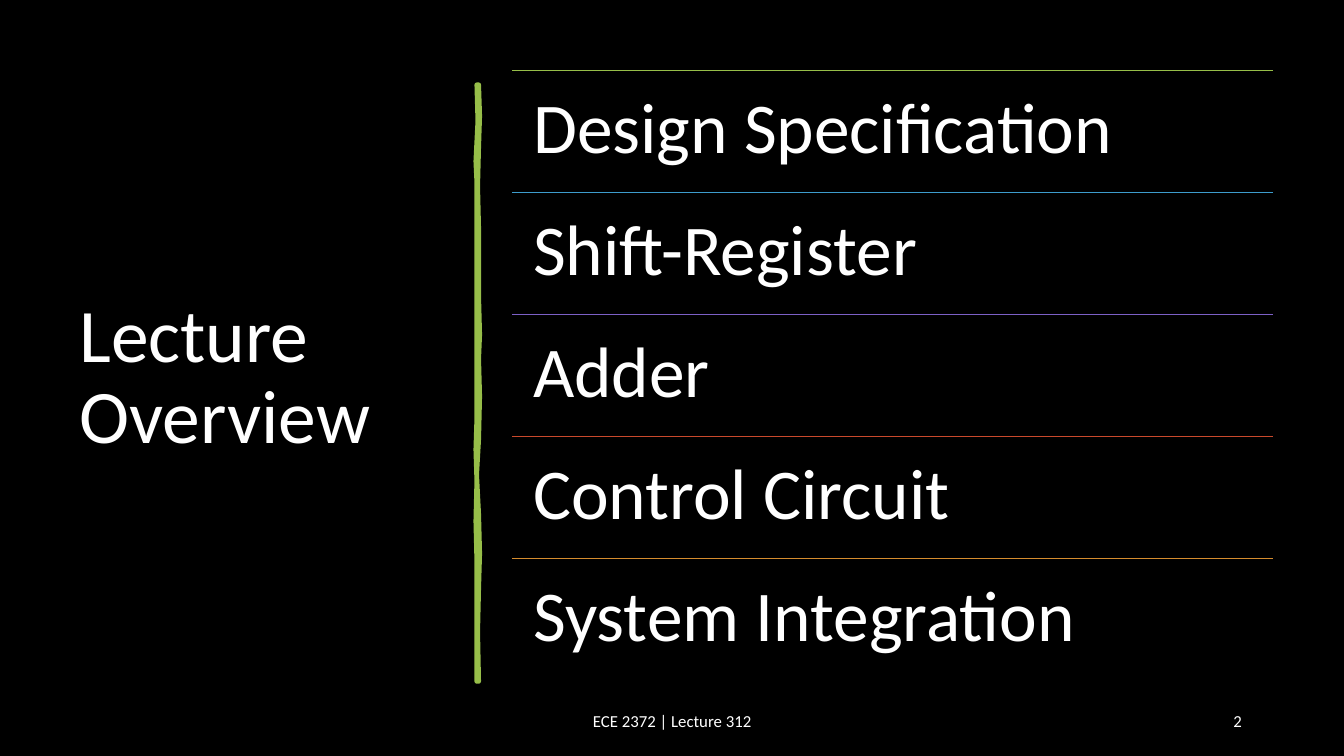
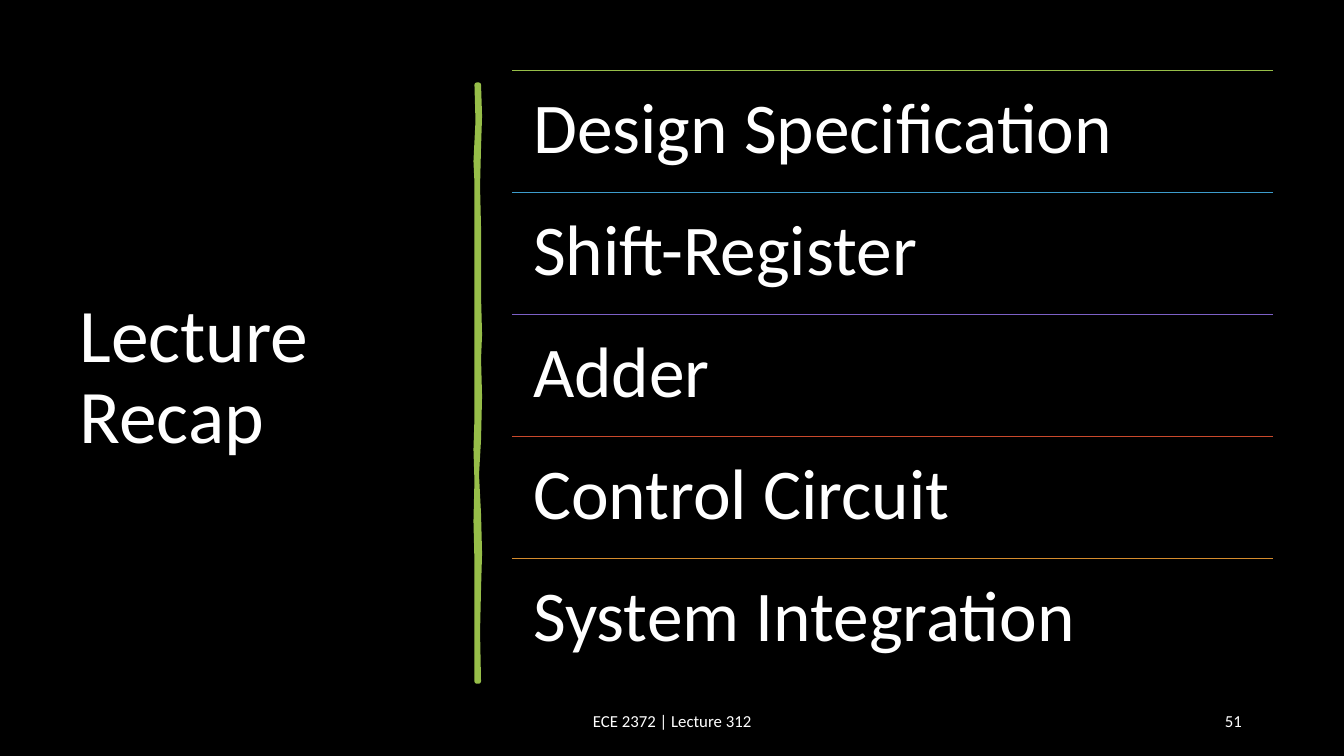
from lxml import etree
from pptx import Presentation
from pptx.dml.color import RGBColor
from pptx.enum.shapes import MSO_CONNECTOR
from pptx.enum.text import MSO_ANCHOR, PP_ALIGN
from pptx.oxml.ns import qn
from pptx.util import Inches, Pt

STRAIGHT = MSO_CONNECTOR.STRAIGHT
TOP, MIDDLE = MSO_ANCHOR.TOP, MSO_ANCHOR.MIDDLE
LEFT, CENTER, RIGHT = PP_ALIGN.LEFT, PP_ALIGN.CENTER, PP_ALIGN.RIGHT

BLACK = RGBColor(0x00, 0x00, 0x00)
WHITE = RGBColor(0xFF, 0xFF, 0xFF)
GREEN = RGBColor(0x97, 0xBE, 0x49)
BLUE = RGBColor(0x3D, 0x9C, 0xCC)
PURPLE = RGBColor(0x7C, 0x60, 0xC6)
RED = RGBColor(0xC9, 0x49, 0x2C)
ORANGE = RGBColor(0xD5, 0x8C, 0x2E)

FONT = "Calibri"
FOOTER = "ECE 2372 | Lecture 312"
TOPICS = [
    ("Design Specification", GREEN),
    ("Shift-Register", BLUE),
    ("Adder", PURPLE),
    ("Control Circuit", RED),
    ("System Integration", ORANGE),
]
PAGES = [("Lecture Overview", "2"), ("Lecture Recap", "51")]

LIST_LEFT, LIST_TOP, LIST_WIDTH, ROW_HEIGHT = 5.08, 0.7, 7.55, 1.21

BRUSH_OUTLINE = [
    (4.75, 0.84), (4.76, 1.15), (4.75, 1.46), (4.74, 1.85), (4.75, 2.26),
    (4.75, 2.94), (4.76, 3.32), (4.75, 3.56), (4.76, 3.93), (4.75, 4.36),
    (4.73, 4.71), (4.75, 5.1), (4.76, 5.49), (4.75, 5.84), (4.74, 6.27),
    (4.75, 6.76), (4.73, 6.76), (4.73, 6.13), (4.73, 5.57), (4.72, 5.17),
    (4.73, 4.77), (4.72, 4.46), (4.73, 4.15), (4.73, 3.35), (4.73, 2.5),
    (4.73, 1.81), (4.72, 1.6), (4.74, 1.2), (4.73, 0.84),
]


def write_text(frame, text, size=12, color=WHITE, align=LEFT, anchor=TOP,
               inset=None, line_spacing=None):
    frame.word_wrap = True
    frame.vertical_anchor = anchor
    if inset is not None:
        frame.margin_left = frame.margin_right = Inches(inset)
        frame.margin_top = frame.margin_bottom = Inches(inset)
    para = frame.paragraphs[0]
    para.alignment = align
    para.line_spacing = line_spacing
    span = para.add_run()
    span.text = text
    span.font.name = FONT
    span.font.size = Pt(size)
    span.font.color.rgb = color


class LectureDeck:
    def __init__(self):
        self.deck = Presentation()
        self.deck.slide_width = Inches(40 / 3)
        self.deck.slide_height = Inches(7.5)
        self.page = None

    def add_page(self):
        self.page = self.deck.slides.add_slide(self.deck.slide_layouts[6])
        fill = self.page.background.fill
        fill.solid()
        fill.fore_color.rgb = BLACK

    def text(self, left, top, width, height, text, **style):
        box = self.page.shapes.add_textbox(
            Inches(left), Inches(top), Inches(width), Inches(height))
        write_text(box.text_frame, text, **style)

    def rule(self, left, top, width, color):
        line = self.page.shapes.add_connector(
            STRAIGHT, Inches(left), Inches(top), Inches(left + width), Inches(top))
        line.line.color.rgb = color
        line.line.width = Pt(1)
        etree.SubElement(line._element.spPr, qn("a:effectLst"))

    def brush_stroke(self):
        start, *others = [(Inches(x), Inches(y)) for x, y in BRUSH_OUTLINE]
        builder = self.page.shapes.build_freeform(*start)
        builder.add_line_segments(others, close=True)
        stroke = builder.convert_to_shape()
        stroke.shadow.inherit = False
        stroke.fill.solid()
        stroke.fill.fore_color.rgb = GREEN
        stroke.line.color.rgb = GREEN
        stroke.line.width = Pt(3.25)

    def topic_list(self, topics):
        for row, (topic, color) in enumerate(topics):
            top = LIST_TOP + row * ROW_HEIGHT
            self.rule(LIST_LEFT, top, LIST_WIDTH, color)
            self.text(LIST_LEFT, top, LIST_WIDTH, ROW_HEIGHT, topic,
                      size=51, inset=0.21, line_spacing=0.9)

    def footer(self, number):
        self.text(4.42, 6.95, 4.5, 0.4, FOOTER, align=CENTER, anchor=MIDDLE)
        self.text(9.42, 6.95, 3, 0.4, number, align=RIGHT, anchor=MIDDLE)

    def topics_page(self, title, number):
        self.add_page()
        self.text(0.69, 0.7, 3.74, 6.11, title, size=54, anchor=MIDDLE, line_spacing=0.9)
        self.brush_stroke()
        self.footer(number)
        self.topic_list(TOPICS)


def main():
    lecture = LectureDeck()
    for title, number in PAGES:
        lecture.topics_page(title, number)
    lecture.deck.save("out.pptx")


if __name__ == "__main__":
    main()
